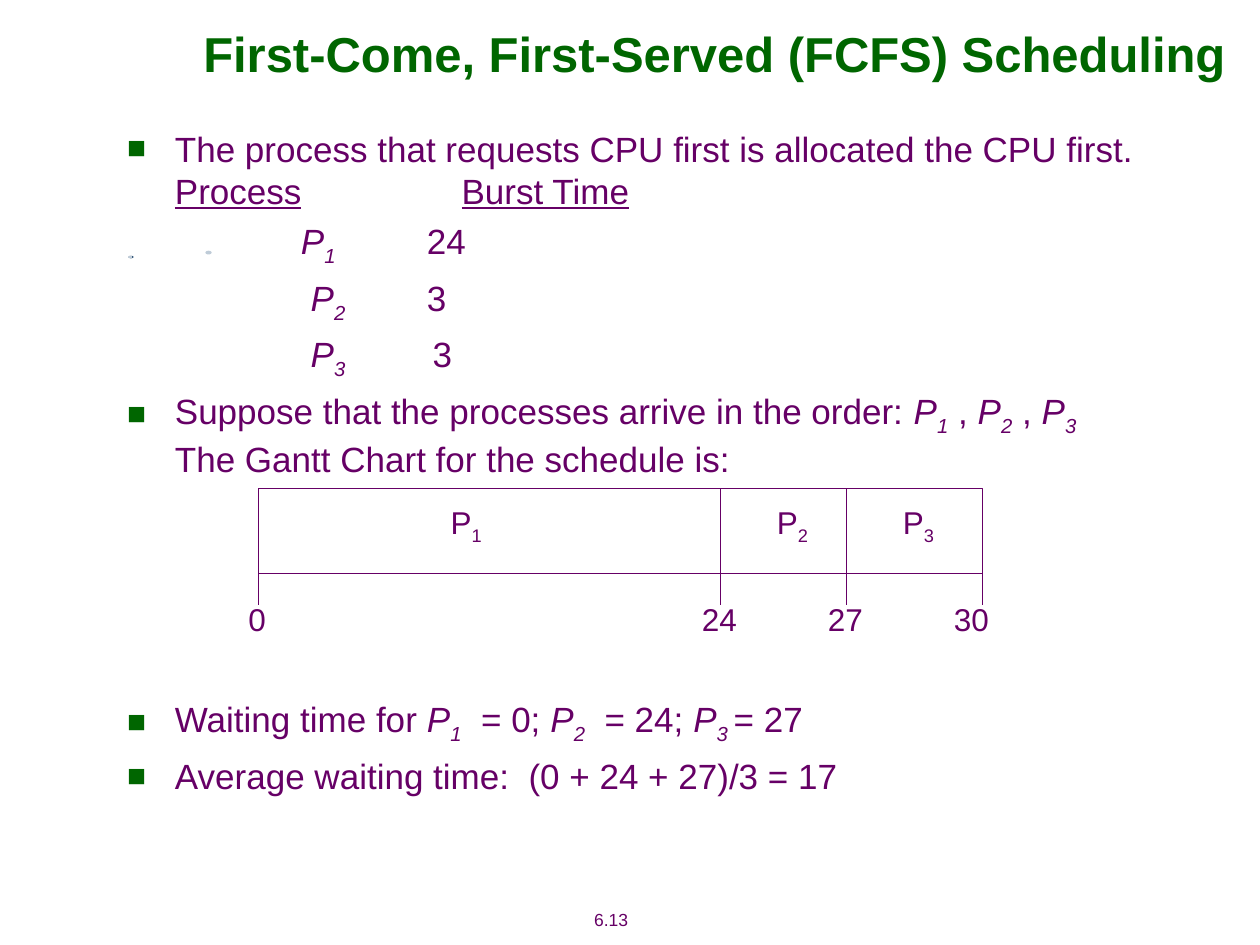
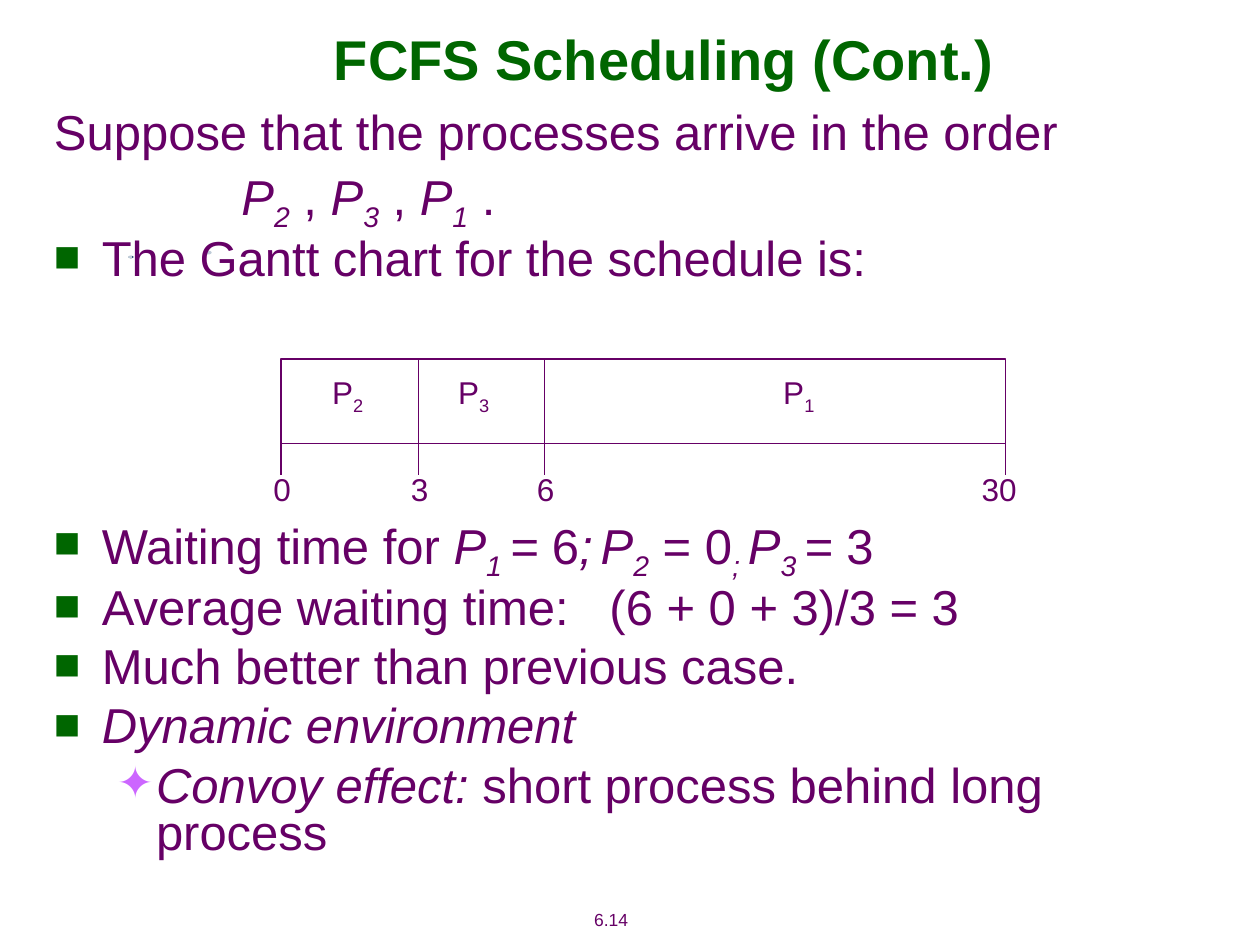
"""Builds two slides on first-come, first-served CPU scheduling."""
from lxml import etree
from pptx import Presentation
from pptx import util as u
from pptx.dml.color import RGBColor
from pptx.enum import shapes, text
from pptx.oxml.ns import qn

PX = 9144
GREEN, PURPLE, LILAC = "006600", "660066", "CC66FF"
FONT = "Arial"
BULLETS = {"■": GREEN, "✦": LILAC}
SPECKS = [(102, 203, 4, 2, "284C70"), (102, 203, 3, 2, "BFCCD8"), (163, 199, 5, 3, "BFCCD8")]

ROW = dict(margin=138, tab_step=50)
ITEM = dict(bullet="■", margin=38, indent=-38)

# Each run starts with its style: - plain, i italic, s italic subscript, b subscript, u underlined.
SLIDES = [
    dict(
        title="First-Come, First-Served (FCFS) Scheduling", title_box=(111, 17, 912, 50), title_size=28,
        number="6.13", body_box=(91, 96, 851, 593), size=20, before=5, spacing=1.0,
        body=[
            ("-The process that requests CPU first is allocated the CPU first.\t|uProcess|-\t|uBurst Time",
             dict(ITEM, tabs=[(332, "ctr"), (507, "ctr")])),
            ("iP|s1|-\t\t24", ROW),
            ("- |iP|s2|-\t\t3", ROW),
            ("- |iP|s3|-\t\t|s |-3", ROW),
            ("-Suppose that the processes arrive in the order: |iP|s1|- , |iP|s2|- , |iP|s3", ITEM),
            ("-The Gantt Chart for the schedule is:", dict(margin=38, before=0)),
            ("-Waiting time for |iP|s1|-  = 0; |iP|s2|-  = 24; |iP|s3 |-= 27", dict(ITEM, before=125)),
            ("-Average waiting time:  (0 + 24 + 27)/3 = 17", ITEM),
        ],
        top=388, edges=[205, 572, 672, 780],
        times=[("0", 204), ("24", 571), ("27", 671), ("30", 771)],
        jobs=[("1", 370), ("2", 629), ("3", 729)]),
    dict(
        title="FCFS Scheduling (Cont.)", title_box=(128, 0, 798, 92), title_size=32,
        number="6.14", body_box=(33, 85, 922, 646), size=28, before=7, spacing=0.8,
        body=[
            ("-Suppose that the processes arrive in the order", dict(margin=38, indent=-38)),
            ("- |iP|s2|- , |iP|s3|- , |iP|s1|- .", dict(margin=138)),
            ("-The Gantt chart for the schedule is:", ITEM),
            ("-Waiting time for |iP|s1 |i=|- 6|i;|s |iP|s2|- = 0|s; |iP|s3 |i= |-3",
             dict(ITEM, before=135)),
            ("-Average waiting time:   (6 + 0 + 3)/3 = 3", ITEM),
            ("-Much better than previous case.", ITEM),
            ("iDynamic environment", ITEM),
            ("iConvoy effect:|- short process behind long process",
             dict(bullet="✦", margin=81, indent=-31)),
        ],
        top=285, edges=[223, 332, 432, 798],
        times=[("0", 224), ("3", 333), ("6", 433), ("30", 793)],
        jobs=[("2", 276), ("3", 376), ("1", 634)]),
]


def color(value):
    return RGBColor.from_string(value)


def write(s, box, lines, size, body=False):
    """Adds a text box with one paragraph for each (runs, options) pair."""
    sp = s.shapes.add_textbox(*[v * PX for v in box])
    tf = sp.text_frame
    tf.word_wrap = body
    tf.vertical_anchor = text.MSO_ANCHOR.TOP if body else text.MSO_ANCHOR.MIDDLE
    for i, (line, opts) in enumerate(lines):
        p = tf.paragraphs[0] if i == 0 else tf.add_paragraph()
        p.alignment = text.PP_ALIGN.LEFT if body else text.PP_ALIGN.CENTER
        p.space_before = u.Pt(opts.get("before", 0))
        p.line_spacing = opts.get("spacing", 1.0)
        pr = p._p.get_or_add_pPr()
        pr.set("marL", str(opts.get("margin", 0) * PX))
        pr.set("indent", str(opts.get("indent", 0) * PX))
        if "tab_step" in opts:
            pr.set("defTabSz", str(opts["tab_step"] * PX))
        if "bullet" in opts:
            clr = etree.SubElement(pr, qn("a:buClr"))
            etree.SubElement(clr, qn("a:srgbClr"), val=BULLETS[opts["bullet"]])
            etree.SubElement(pr, qn("a:buSzPct"), val="90000")
            etree.SubElement(pr, qn("a:buFont"), typeface=FONT)
            etree.SubElement(pr, qn("a:buChar"), char=opts["bullet"])
        if "tabs" in opts:
            tabs = etree.SubElement(pr, qn("a:tabLst"))
            for pos, algn in opts["tabs"]:
                etree.SubElement(tabs, qn("a:tab"), pos=str(pos * PX), algn=algn)
        for part in line.split("|"):
            style = part[0]
            r = p.add_run()
            r.text = part[1:]
            r.font.name, r.font.size = FONT, u.Pt(size)
            r.font.color.rgb = color(PURPLE)
            r.font.italic = style in "is"
            r.font.underline = style == "u"
            if style in "sb":
                r.font._element.set("baseline", "-25000")


prs = Presentation()
prs.slide_width, prs.slide_height = 1000 * PX, 750 * PX

for d in SLIDES:
    s = prs.slides.add_slide(prs.slide_layouts[5])
    title = s.shapes.title
    title.left, title.top, title.width, title.height = [v * PX for v in d["title_box"]]
    tf = title.text_frame
    tf.text = d["title"]
    tf.vertical_anchor = text.MSO_ANCHOR.MIDDLE
    tf.paragraphs[0].alignment = text.PP_ALIGN.CENTER
    font = tf.paragraphs[0].runs[0].font
    font.name, font.size, font.bold = FONT, u.Pt(d["title_size"]), True
    font.color.rgb = color(GREEN)

    for x, y, w, h, fill in SPECKS:
        sp = s.shapes.add_shape(shapes.MSO_SHAPE.OVAL, x * PX, y * PX, w * PX, h * PX)
        sp.shadow.inherit = False
        sp.fill.solid()
        sp.fill.fore_color.rgb = color(fill)
        sp.line.fill.background()

    write(s, (438, 716, 94, 27), [("-" + d["number"], {})], 10)
    shared = dict(before=d["before"], spacing=d["spacing"])
    write(s, d["body_box"], [(line, {**shared, **opts}) for line, opts in d["body"]], d["size"], True)

    top, edges = d["top"], d["edges"]
    bottom = top + 67
    bar = s.shapes.add_shape(shapes.MSO_SHAPE.RECTANGLE, edges[0] * PX, top * PX,
                             (edges[-1] - edges[0]) * PX, 67 * PX)
    bar.shadow.inherit = False
    bar.fill.solid()
    bar.fill.fore_color.rgb = color("FFFFFF")
    bar.line.color.rgb = color(PURPLE)
    bar.line.width = u.Pt(0.75)

    for x in edges:
        start = bottom if x in (edges[0], edges[-1]) else top
        line = s.shapes.add_connector(shapes.MSO_CONNECTOR.STRAIGHT, x * PX, start * PX,
                                      x * PX, (bottom + 25) * PX)
        line.line.color.rgb = color(PURPLE)
        line.line.width = u.Pt(0.75)
        etree.SubElement(line._element.spPr, qn("a:effectLst"))

    for job, x in d["jobs"]:
        write(s, (x - 32, top + 6, 64, 44), [("-P|b" + job, {})], 18)
    for time, x in d["times"]:
        write(s, (x - 32, top + 83, 64, 40), [("-" + time, {})], 18)

prs.save("out.pptx")
